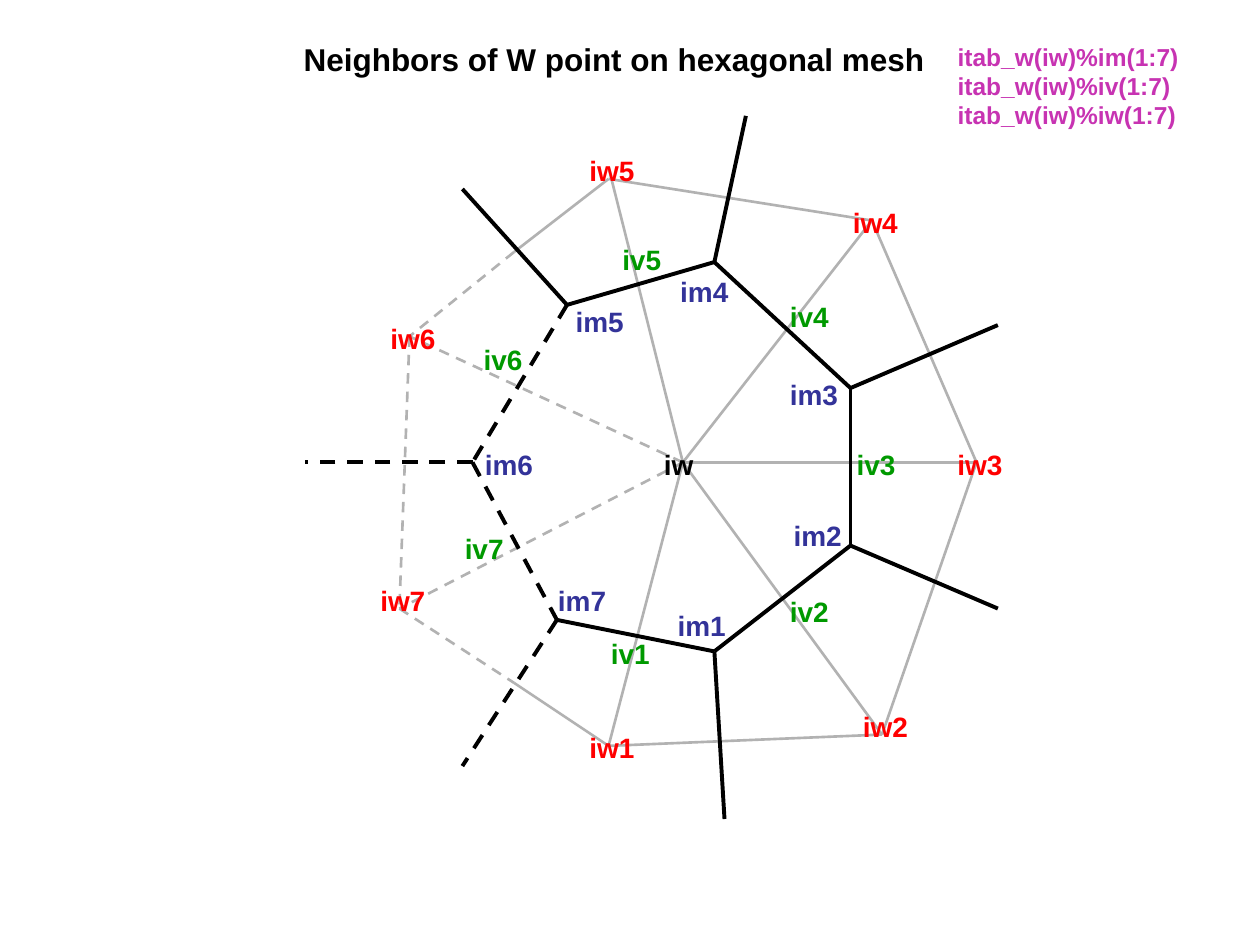
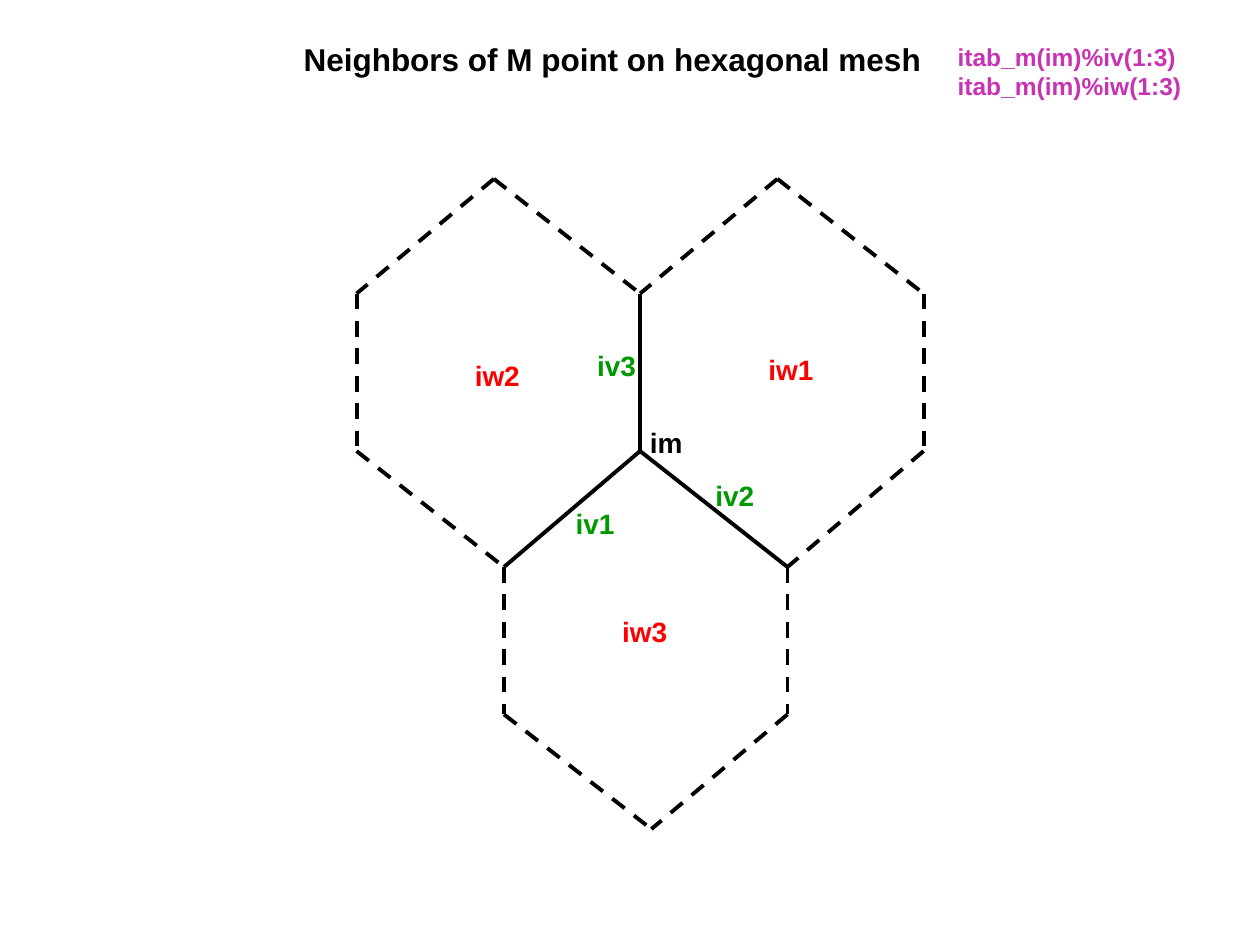
from dataclasses import dataclass
from itertools import pairwise

from pptx import Presentation
from pptx.dml.color import RGBColor
from pptx.enum.dml import MSO_LINE
from pptx.enum.shapes import MSO_CONNECTOR
from pptx.enum.text import MSO_ANCHOR, MSO_AUTO_SIZE, PP_ALIGN
from pptx.oxml.ns import qn
from pptx.util import Pt

PX = 9144  # EMU in one px, 100 px to the inch


@dataclass(frozen=True)
class Theme:
    font: str = "Arial"
    ink: str = "000000"
    grid: str = "B2B2B2"
    code: str = "C733B2"
    w: str = "FF0000"
    v: str = "009900"
    m: str = "333399"
    title_size: int = 18
    label_size: int = 16
    code_size: int = 14
    thin: float = 1.5
    thick: float = 2.25


@dataclass(frozen=True)
class Box:
    x: int
    y: int
    w: int
    h: int

    def at(self, point):
        """Turn a point inside the box into slide EMU."""
        return (self.x + point[0]) * PX, (self.y + point[1]) * PX


THEME = Theme()
TITLE = Box(231, 27, 518, 40)
CODE = Box(750, 28, 200, 80)
MESH = Box(242, 92, 550, 558)
CELLS = Box(283, 142, 450, 516)
WIDE = {"iw": 57, "iv": 52, "im": 59}
HUES = {"iw": THEME.w, "iv": THEME.v, "im": THEME.m}


def write(shape, lines, size, color):
    """Fill a text shape with plain, bold, left-aligned lines."""
    frame = shape.text_frame
    frame.text = "\n".join(lines)
    frame.word_wrap = False
    frame.auto_size = MSO_AUTO_SIZE.SHAPE_TO_FIT_TEXT
    frame.vertical_anchor = MSO_ANCHOR.TOP
    for para in frame.paragraphs:
        para.alignment = PP_ALIGN.LEFT
        para.space_before = Pt(0)
        font = para.font
        font.name, font.size, font.bold = THEME.font, Pt(size), True
        font.color.rgb = RGBColor.from_string(color)


def move(shape, box):
    shape.left, shape.top = box.at((0, 0))
    shape.width, shape.height = box.w * PX, box.h * PX


def plain(para):
    """Take the inherited bullet and indent off a paragraph."""
    props = para._p.get_or_add_pPr()
    props.set("marL", "0")
    props.set("indent", "0")
    bullet = props.makeelement(qn("a:buNone"), {})
    props.insert_element_before(bullet, "a:tabLst", "a:defRPr", "a:extLst")


def head(deck, title, code):
    """Add a slide with its title and the list of table names."""
    slide = deck.slides.add_slide(deck.slide_layouts[1])
    name, body = slide.placeholders
    move(name, TITLE)
    write(name, [title], THEME.title_size, THEME.ink)
    move(body, Box(CODE.x, CODE.y, CODE.w, 10 + 23 * len(code)))
    write(body, code, THEME.code_size, THEME.code)
    for para in body.text_frame.paragraphs:
        plain(para)
    return slide


def line(slide, box, start, end, color=THEME.ink, width=THEME.thick, dash=False):
    link = slide.shapes.add_connector(
        MSO_CONNECTOR.STRAIGHT, *box.at(start), *box.at(end))
    link.line.color.rgb = RGBColor.from_string(color)
    link.line.width = Pt(width)
    if dash:
        link.line.dash_style = MSO_LINE.DASH
    props = link._element.spPr
    props.append(props.makeelement(qn("a:effectLst"), {}))


def label(slide, box, text, point, color=None):
    kind = text[:2]
    width = WIDE[kind] - (0 if text[2:] else 10)
    shape = slide.shapes.add_textbox(*box.at(point), width * PX, 37 * PX)
    write(shape, [text], THEME.label_size, color or HUES[kind])


def labels(slide, box, kind, points):
    for num, point in enumerate(points, 1):
        label(slide, box, f"{kind}{num}", point)


def mesh(slide, box):
    """Draw the seven-sided cell, its neighbors and their labels."""
    hub = (300, 275)
    w = [(241, 500), (458, 491), (533, 275), (450, 83),
         (241, 50), (83, 175), (75, 391)]
    m = [(325, 425), (433, 341), (433, 216), (325, 116),
         (208, 150), (133, 275), (200, 400)]
    rays = [(333, 558), (550, 391), (550, 166), (350, 0),
            (125, 58), (0, 275), (125, 516)]
    upper, lower = (166, 108), (166, 450)
    raised = (1, 4, 6)
    optional = (5, 6)

    rim = [*w[:5], upper, *w[5:], lower, w[0]]
    for num, (start, end) in enumerate(pairwise(rim)):
        line(slide, box, start, end, THEME.grid, THEME.thin, 5 <= num <= 7)
    for num, (x, y) in enumerate(w):
        tip = (x, y - 9) if num == 4 else (x, y)
        line(slide, box, hub, tip, THEME.grid, THEME.thin, num in optional)
    for num, (start, end) in enumerate(pairwise([*m, m[0]])):
        line(slide, box, start, end, dash=num in (4, 5))
    for num, (start, end) in enumerate(zip(m, rays)):
        line(slide, box, start, end, dash=num in optional)

    label(slide, box, "iw", (hub[0] - 25, hub[1] - 17), THEME.ink)
    labels(slide, box, "iw", [(x - 25, y - (25 if num in raised else 17))
                              for num, (x, y) in enumerate(w)])
    labels(slide, box, "iv", [(233, 408), (375, 375), (428, 258), (375, 141),
                              (242, 96), (132, 175), (117, 325)])
    labels(slide, box, "im", [(286, 386), (378, 315), (375, 203), (288, 121),
                              (205, 145), (133, 258), (191, 366)])


def cells(slide, box):
    """Draw the three cells that meet at one M point."""
    hub, top, left, right = (225, 216), (225, 91), (117, 308), (342, 308)
    base = (234, 516)
    west = [(109, 0), (0, 91), (0, 216), left, (117, 425), base]
    east = [(334, 0), (450, 91), (450, 216), right, (342, 425), base]
    for end in (top, left, right):
        line(slide, box, hub, end)
    for side in (west, east):
        for start, end in [(side[0], top), *pairwise(side)]:
            line(slide, box, start, end, dash=True)

    label(slide, box, "im", (223, 191), THEME.ink)
    labels(slide, box, "iw", [(317, 133), (84, 138), (201, 341)])
    labels(slide, box, "iv", [(164, 255), (275, 233), (181, 130)])


def main():
    deck = Presentation()
    deck.slide_width, deck.slide_height = 1000 * PX, 750 * PX
    mesh(head(deck, "Neighbors of W point on hexagonal mesh",
              [f"itab_w(iw)%{kind}(1:7)" for kind in ("im", "iv", "iw")]), MESH)
    cells(head(deck, "Neighbors of M point on hexagonal mesh",
               [f"itab_m(im)%{kind}(1:3)" for kind in ("iv", "iw")]), CELLS)
    deck.save("out.pptx")


if __name__ == "__main__":
    main()
